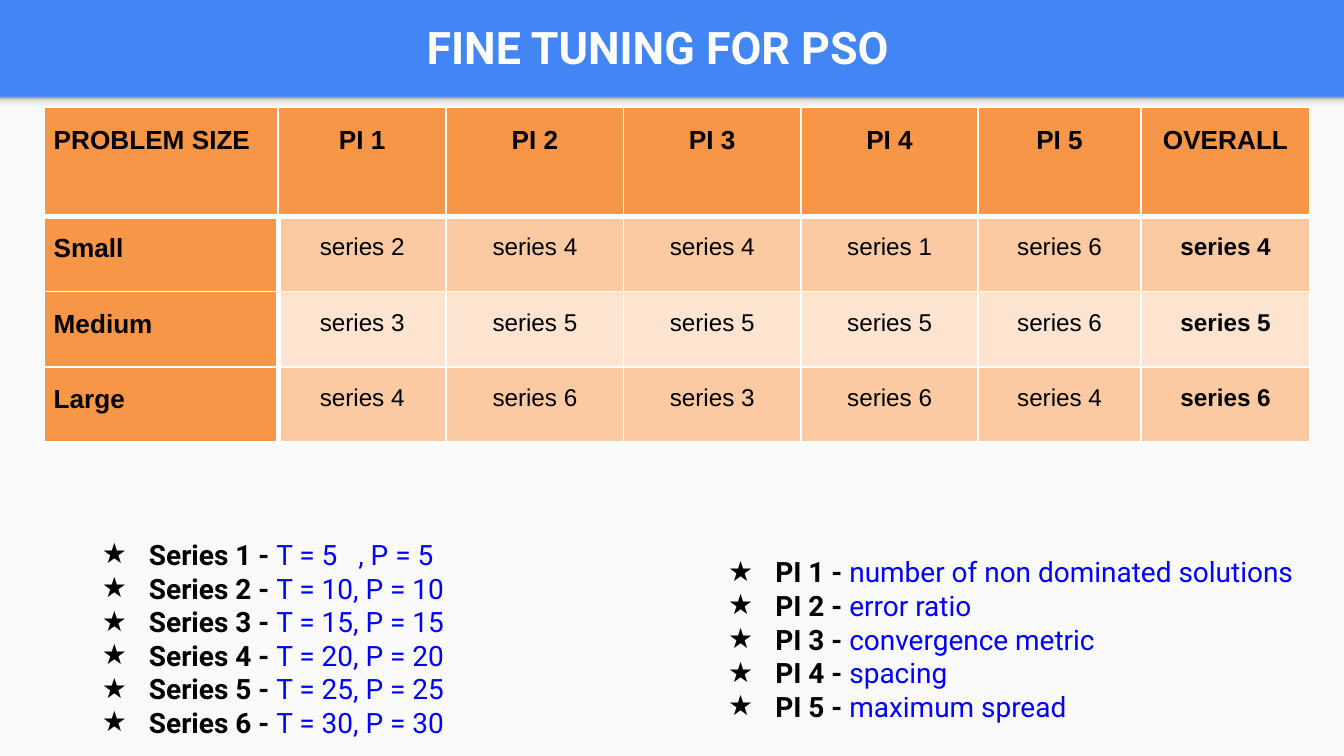
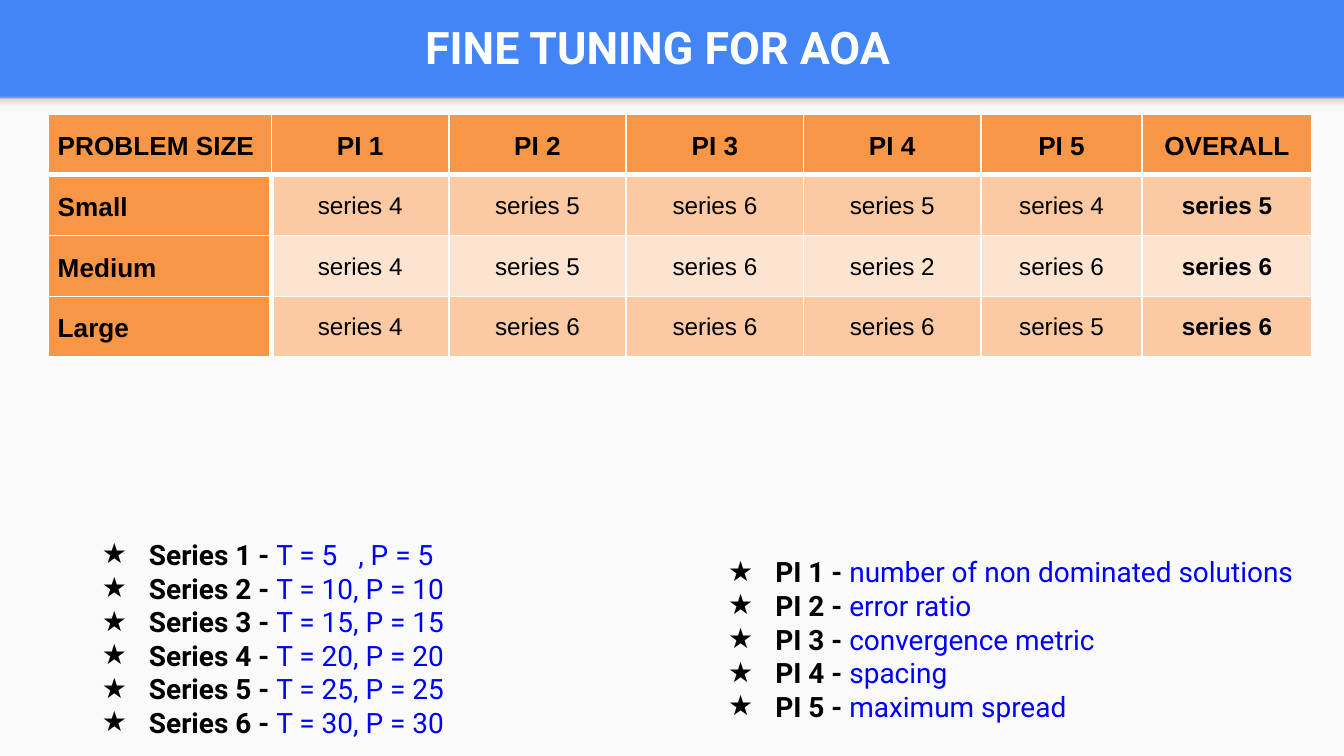
"""Build two slides that report the fine tuning of PSO and AOA."""
from lxml import etree
from pptx import Presentation
from pptx import util as u
from pptx.dml.color import RGBColor
from pptx.enum import shapes, text
from pptx.oxml import ns

COLORS = {
    "blue": "4285F4", "paper": "FAFAFA", "white": "FFFFFF", "black": "000000",
    "link": "0000FF", "orange": "F79646", "peach": "FBCAA2", "cream": "FDE4D0",
}
SHADOW_STOPS = [(0, "F9F9F9"), (36, "F9F9F9"), (80, "DEDEDE"), (100, "999999")]
HEADINGS = ["PROBLEM SIZE", *(f"PI {n}" for n in range(1, 6)), "OVERALL"]
SIZES = ["Small", "Medium", "Large"]
SERIES = [(f"Series {n}", f"T = {5 * n}", f", P = {5 * n}") for n in range(1, 7)]
INDICATORS = ["number of non dominated solutions", "error ratio",
              "convergence metric", "spacing", "maximum spread"]
TUNINGS = [
    {"title": "FINE TUNING FOR PSO ", "at": (0.33, 0.8),
     "columns": [1.74, 1.25, 1.32, 1.32, 1.32, 1.21, 1.26],
     "rows": [0.81, 0.56, 0.56, 0.56],
     "best": [(2, 4, 4, 1, 6, 4), (3, 5, 5, 5, 6, 5), (4, 6, 3, 6, 4, 6)]},
    {"title": "FINE TUNING FOR AOA ", "at": (0.36, 0.85),
     "columns": [1.66, 1.32, 1.32, 1.32, 1.32, 1.2, 1.26],
     "rows": [0.3, 0.31, 0.29, 0.29],
     "best": [(4, 5, 6, 5, 4, 5), (4, 5, 6, 2, 6, 6), (4, 6, 6, 6, 5, 6)]},
]


def rgb(name):
    """Return the named colour."""
    return RGBColor.from_string(COLORS[name])


def add_xml(parent, tag, index=None, **attributes):
    """Add a DrawingML child to an element, at the end or at an index."""
    child = etree.Element(ns.qn(tag), attributes)
    parent.insert(len(parent) if index is None else index, child)
    return child


def add_color(parent, value):
    """Add an RGB colour to an element."""
    add_xml(parent, "a:srgbClr", val=value)


def add_span(para, words, size, color, bold=False, font="Roboto"):
    """Add a formatted run to a paragraph."""
    span = para.add_run()
    span.text = words
    span.font.name, span.font.size, span.font.bold = font, u.Pt(size), bold
    span.font.color.rgb = rgb(color)
    return span


def set_frame(frame, autofit):
    """Give a text frame its insets, wrapping and fitting."""
    frame.word_wrap, frame.auto_size = True, autofit
    frame.margin_left = frame.margin_right = u.Inches(0.1)
    frame.margin_top = frame.margin_bottom = u.Inches(0.1)


def add_band(page, layout, index, top, height):
    """Add a full-width rectangle to the layout and return it."""
    band = page.shapes.add_shape(
        shapes.MSO_SHAPE.RECTANGLE, 0, u.Inches(top), u.Inches(10), u.Inches(height))
    band.shadow.inherit = False
    band.line.fill.background()
    band.fill.solid()
    band.fill.fore_color.rgb = rgb("paper")
    layout.shapes.element.insert(index, band.element)
    return band


def shade_band(band):
    """Fill a band with the soft shadow under the title."""
    band.fill.gradient()
    gradient = band.element.spPr.find(ns.qn("a:gradFill"))
    stops = gradient.find(ns.qn("a:gsLst"))
    stops.clear()
    for position, value in SHADOW_STOPS:
        add_color(add_xml(stops, "a:gs", pos=str(position * 1000)), value)
    band.fill.gradient_angle = 90


def style_layout(page, layout):
    """Give the layout its background, paper and title shadow."""
    for holder in list(layout.placeholders)[1:]:
        layout.shapes.element.remove(holder.element)
    layout.background.fill.solid()
    layout.background.fill.fore_color.rgb = rgb("blue")
    add_band(page, layout, 2, 0.72, 4.91)
    shade_band(add_band(page, layout, 3, 0.72, 0.12))


def set_title(page, words):
    """Place and write the slide title."""
    title = page.shapes.title
    title.left, title.top = u.Inches(0.11), u.Inches(0.02)
    title.width, title.height = u.Inches(9.65), u.Inches(0.66)
    set_frame(title.text_frame, text.MSO_AUTO_SIZE.NONE)
    title.text_frame.vertical_anchor = text.MSO_ANCHOR.MIDDLE
    para = title.text_frame.paragraphs[0]
    para.alignment = text.PP_ALIGN.CENTER
    add_span(para, words, 24, "white", True)


def set_borders(cell, row, column):
    """Draw white borders, thick between headings and values."""
    thick = {"a:lnL": row > 0 and column == 1, "a:lnR": row > 0 and column == 0,
             "a:lnT": row == 1, "a:lnB": row == 0}
    properties = cell._tc.get_or_add_tcPr()
    for index, (tag, is_thick) in enumerate(thick.items()):
        line = add_xml(properties, tag, index, w=str(u.Pt(3 if is_thick else 1)))
        add_color(add_xml(line, "a:solidFill"), COLORS["white"])


def fill_cell(cell, words, row, column):
    """Write and style one table cell."""
    heading = row == 0 or column == 0
    cell.fill.solid()
    cell.fill.fore_color.rgb = rgb(
        "orange" if heading else "peach" if row % 2 else "cream")
    set_borders(cell, row, column)
    cell.margin_left = cell.margin_right = u.Inches(0.07)
    cell.margin_top = cell.margin_bottom = u.Inches(0.1)
    para = cell.text_frame.paragraphs[0]
    para.line_spacing = 1.15
    para.alignment = text.PP_ALIGN.CENTER if column else text.PP_ALIGN.LEFT
    bold = heading or column == len(HEADINGS) - 1
    add_span(para, words, 14 if heading else 13, "black", bold, "Arial")


def add_results(page, tuning):
    """Add the table of the best series per problem size."""
    lines = [HEADINGS] + [[size, *(f"series {n}" for n in best)]
                          for size, best in zip(SIZES, tuning["best"])]
    left, top = tuning["at"]
    table = page.shapes.add_table(
        len(lines), len(HEADINGS), u.Inches(left), u.Inches(top),
        u.Inches(sum(tuning["columns"])), u.Inches(sum(tuning["rows"]))).table
    table.horz_banding = False
    for column, width in zip(table.columns, tuning["columns"]):
        column.width = u.Inches(width)
    for row, height in zip(table.rows, tuning["rows"]):
        row.height = u.Inches(height)
    for row, line in enumerate(lines):
        for column, words in enumerate(line):
            fill_cell(table.cell(row, column), words, row, column)


def add_star_list(page, left, top, width, height, count):
    """Add a text box of starred paragraphs and return the paragraphs."""
    box = page.shapes.add_textbox(
        u.Inches(left), u.Inches(top), u.Inches(width), u.Inches(height))
    frame = box.text_frame
    set_frame(frame, text.MSO_AUTO_SIZE.SHAPE_TO_FIT_TEXT)
    paras = [frame.paragraphs[0]] + [frame.add_paragraph() for _ in range(count - 1)]
    for para in paras:
        properties = para._p.get_or_add_pPr()
        properties.set("marL", str(u.Inches(1.5)))
        properties.set("indent", str(u.Inches(-0.35)))
        add_color(add_xml(properties, "a:buClr"), COLORS["black"])
        add_xml(properties, "a:buFont", typeface="Roboto")
        add_xml(properties, "a:buChar", char="★")
    return paras


def add_series(page):
    """List the T and P settings of each series."""
    paras = add_star_list(page, -0.49, 3.9, 4.31, 1.72, len(SERIES))
    for para, (name, first, second) in zip(paras, SERIES):
        add_span(para, f"{name} - ", 15, "black", True)
        add_span(para, first, 15, "link")
        if para is paras[0]:
            gap = add_span(para, " ", 15, "link")
            gap._r.get_or_add_rPr().set("spc", "740")
        add_span(para, second, 15, "link")


def add_indicators(page):
    """List the meaning of each performance indicator."""
    paras = add_star_list(page, 4.17, 4.03, 5.59, 1.46, len(INDICATORS))
    for number, (para, meaning) in enumerate(zip(paras, INDICATORS), 1):
        add_span(para, f"PI {number} - ", 15, "black", True)
        add_span(para, meaning, 15, "link")


def main():
    """Build and save the deck."""
    deck = Presentation()
    deck.slide_width = u.Inches(10)
    deck.slide_height = u.Emu(deck.slide_width * 9 // 16)
    layout = deck.slide_layouts[5]
    pages = [deck.slides.add_slide(layout) for _ in TUNINGS]
    style_layout(pages[0], layout)
    for page, tuning in zip(pages, TUNINGS):
        set_title(page, tuning["title"])
        add_results(page, tuning)
        add_series(page)
        add_indicators(page)
    deck.save("out.pptx")


if __name__ == "__main__":
    main()
